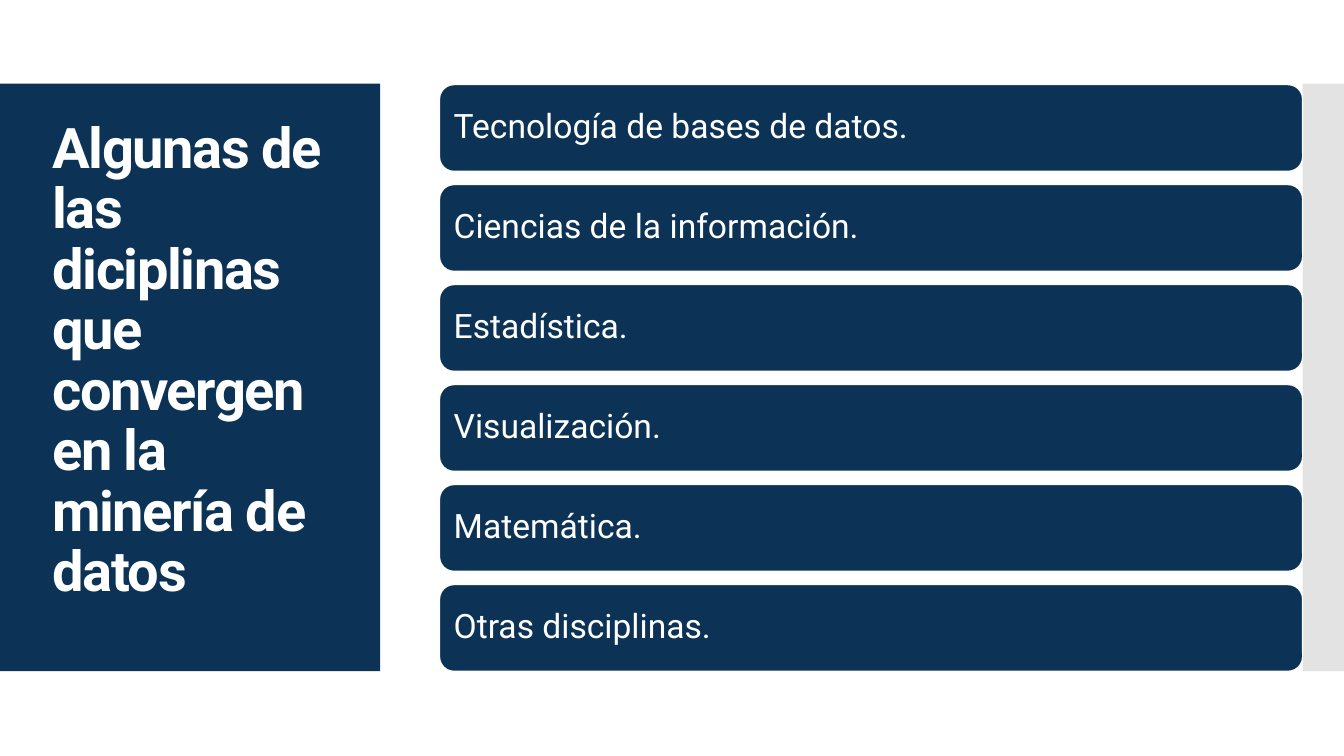
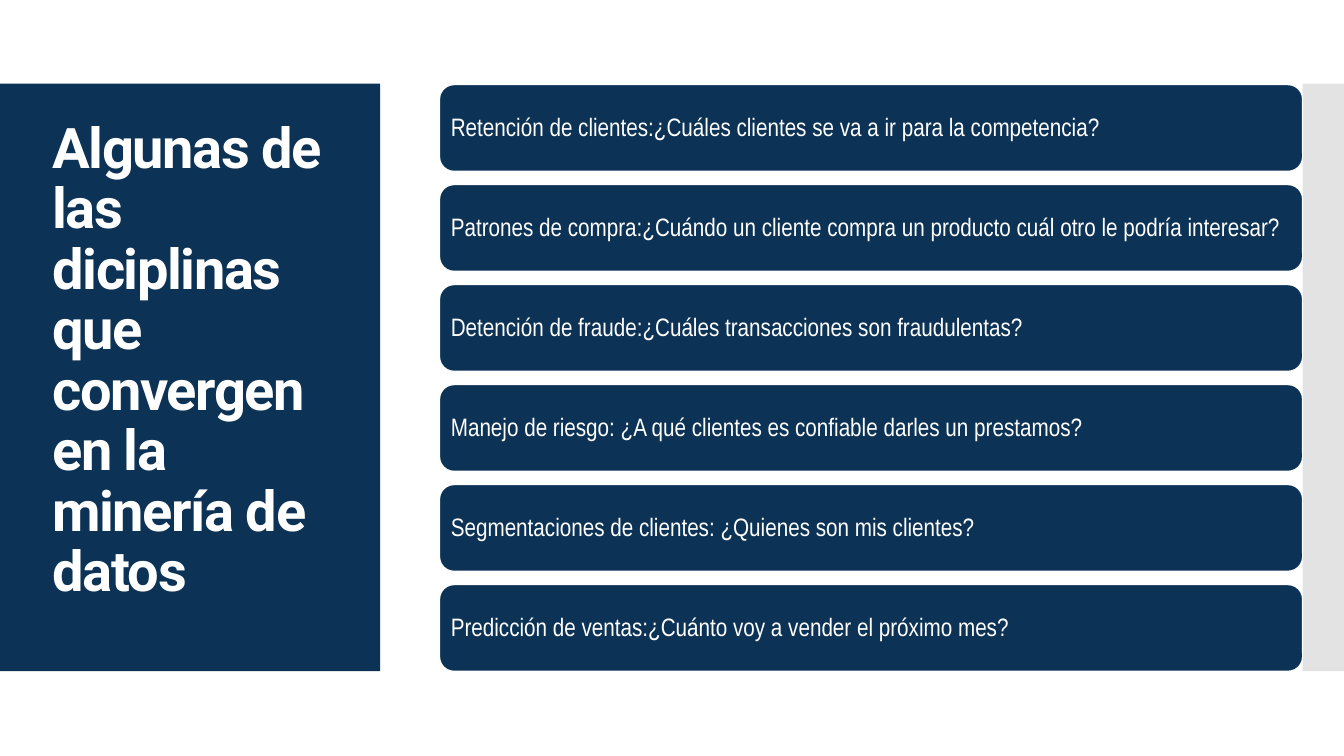
from lxml.etree import SubElement
from pptx import Presentation
from pptx.dml.color import RGBColor
from pptx.enum.shapes import MSO_SHAPE
from pptx.enum.text import MSO_ANCHOR, MSO_AUTO_SIZE, PP_ALIGN
from pptx.oxml.ns import qn
from pptx.util import Inches, Pt

NAVY = RGBColor(0x0C, 0x32, 0x55)
GREY = RGBColor(0xC8, 0xC8, 0xC8)
WHITE = RGBColor(0xFF, 0xFF, 0xFF)

SLIDE_W, SLIDE_H = 13.33, 7.5
BAND_TOP, BAND_H = 0.83, 5.83
BAR_LEFT, BAR_W, BAR_H = 4.36, 8.56, 0.86
FIRST_BAR_TOP, LAST_BAR_TOP = 0.84, 5.8
TITLE = "Algunas de las diciplinas que convergen en la minería de datos"

SLIDES = [
    (
        {"font": "Roboto", "size": 24, "inset": 0.1},
        [
            "Tecnología de bases de datos.",
            "Ciencias de la información.",
            "Estadística.",
            "Visualización.",
            "Matemática.",
            "Otras disciplinas.",
        ],
    ),
    (
        {"font": "Arial Narrow", "size": 18, "inset": 0.07},
        [
            "Retención de clientes:¿Cuáles clientes se va a ir para la competencia?",
            "Patrones de compra:¿Cuándo un cliente compra un producto cuál otro le podría interesar?",
            "Detención de fraude:¿Cuáles transacciones son fraudulentas?",
            "Manejo de riesgo: ¿A qué clientes es confiable darles un prestamos?",
            "Segmentaciones de clientes: ¿Quienes son mis clientes?",
            "Predicción de ventas:¿Cuánto voy a vender el próximo mes?",
        ],
    ),
]


def set_text(sp, text, font="Roboto", size=24, bold=False, inset=0.1,
             anchor=MSO_ANCHOR.MIDDLE, spacing=None):
    tf = sp.text_frame
    tf.word_wrap = True
    tf.auto_size = MSO_AUTO_SIZE.NONE
    tf.vertical_anchor = anchor
    tf.margin_left = tf.margin_right = Inches(inset)
    tf.margin_top = tf.margin_bottom = Inches(inset)
    p = tf.paragraphs[0]
    p.alignment = PP_ALIGN.LEFT
    p.line_spacing = 0.9
    r = p.add_run()
    r.text = text
    r.font.name = font
    r.font.size = Pt(size)
    r.font.bold = bold
    r.font.color.rgb = WHITE
    if spacing is not None:
        r.font._element.set("spc", str(spacing))


def add_box(s, kind, left, top, width, height, fill, line=None):
    sp = s.shapes.add_shape(kind, Inches(left), Inches(top), Inches(width), Inches(height))
    sp.shadow.inherit = False
    sp.fill.solid()
    sp.fill.fore_color.rgb = fill
    if line is None:
        sp.line.fill.background()
    else:
        sp.line.color.rgb = line
        sp.line.width = Pt(0.85)
    return sp


prs = Presentation()
prs.slide_width, prs.slide_height = Inches(SLIDE_W), Inches(SLIDE_H)
layout = prs.slide_layouts.get_by_name("Title Only")

# Shared layout: title position and the two side bands
title = layout.placeholders[0]
title.left, title.top = Inches(0.42), Inches(1.09)
title.width, title.height = Inches(3.23), Inches(5)

slides = [prs.slides.add_slide(layout) for _ in SLIDES]

# Bands are drawn on a slide, then moved behind the layout's placeholders
left_band = add_box(slides[0], MSO_SHAPE.RECTANGLE, 0, BAND_TOP, 3.77, BAND_H, NAVY)
right_band = add_box(slides[0], MSO_SHAPE.RECTANGLE, 12.92, BAND_TOP, SLIDE_W - 12.92, BAND_H, GREY)
color = right_band.element.find(".//" + qn("a:srgbClr"))
SubElement(color, qn("a:alpha")).set("val", "50000")
for band in (left_band, right_band):
    layout.shapes.element.insert(2, band.element)

for s, (style, items) in zip(slides, SLIDES):
    set_text(s.shapes.title, TITLE, size=40, bold=True, inset=0.1,
             anchor=MSO_ANCHOR.BOTTOM, spacing=-100)
    pitch = (LAST_BAR_TOP - FIRST_BAR_TOP) / (len(items) - 1)
    for i, item in enumerate(items):
        bar = add_box(s, MSO_SHAPE.ROUNDED_RECTANGLE, BAR_LEFT, FIRST_BAR_TOP + i * pitch,
                      BAR_W, BAR_H, NAVY, line=WHITE)
        set_text(bar, item, **style)

prs.save("out.pptx")
